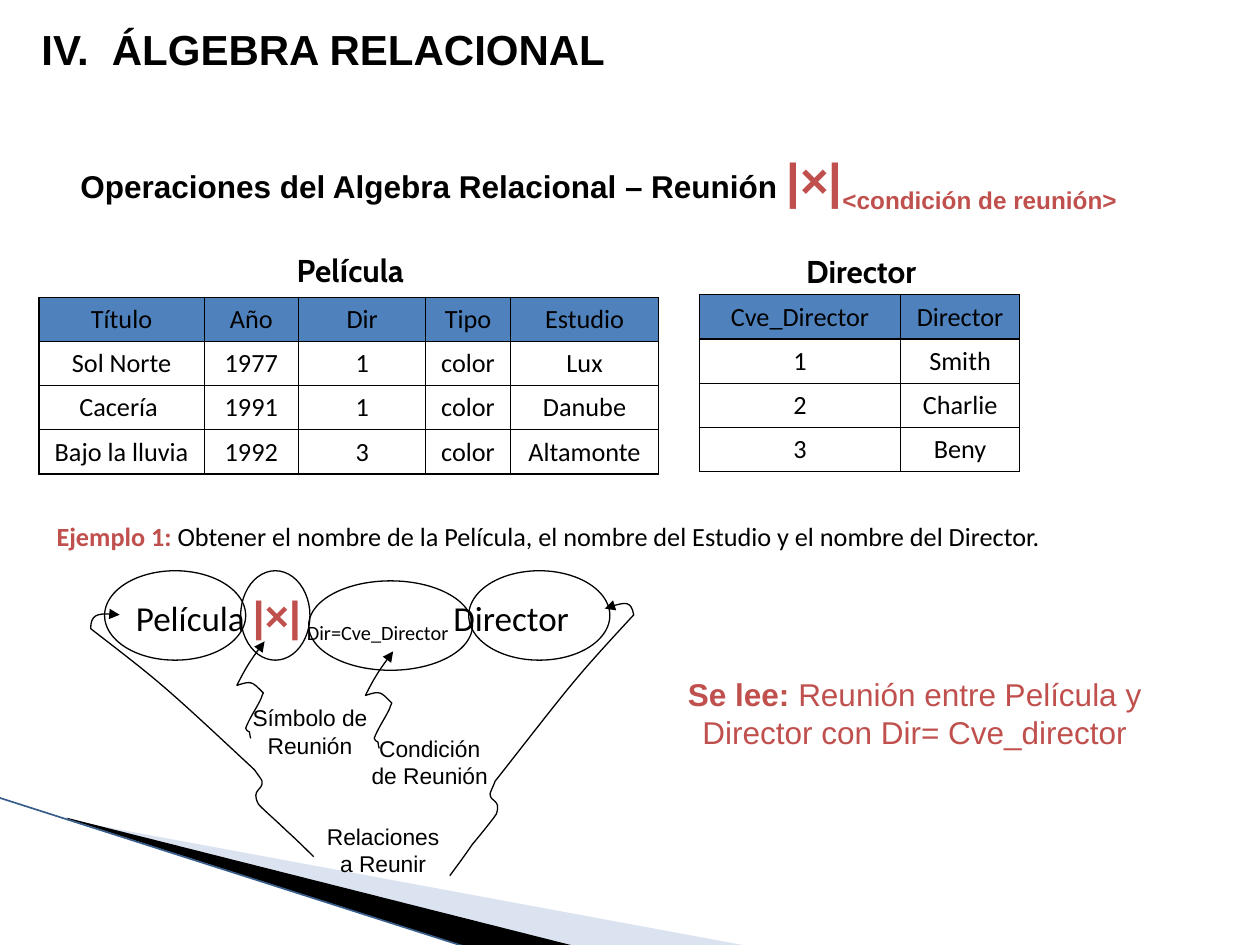
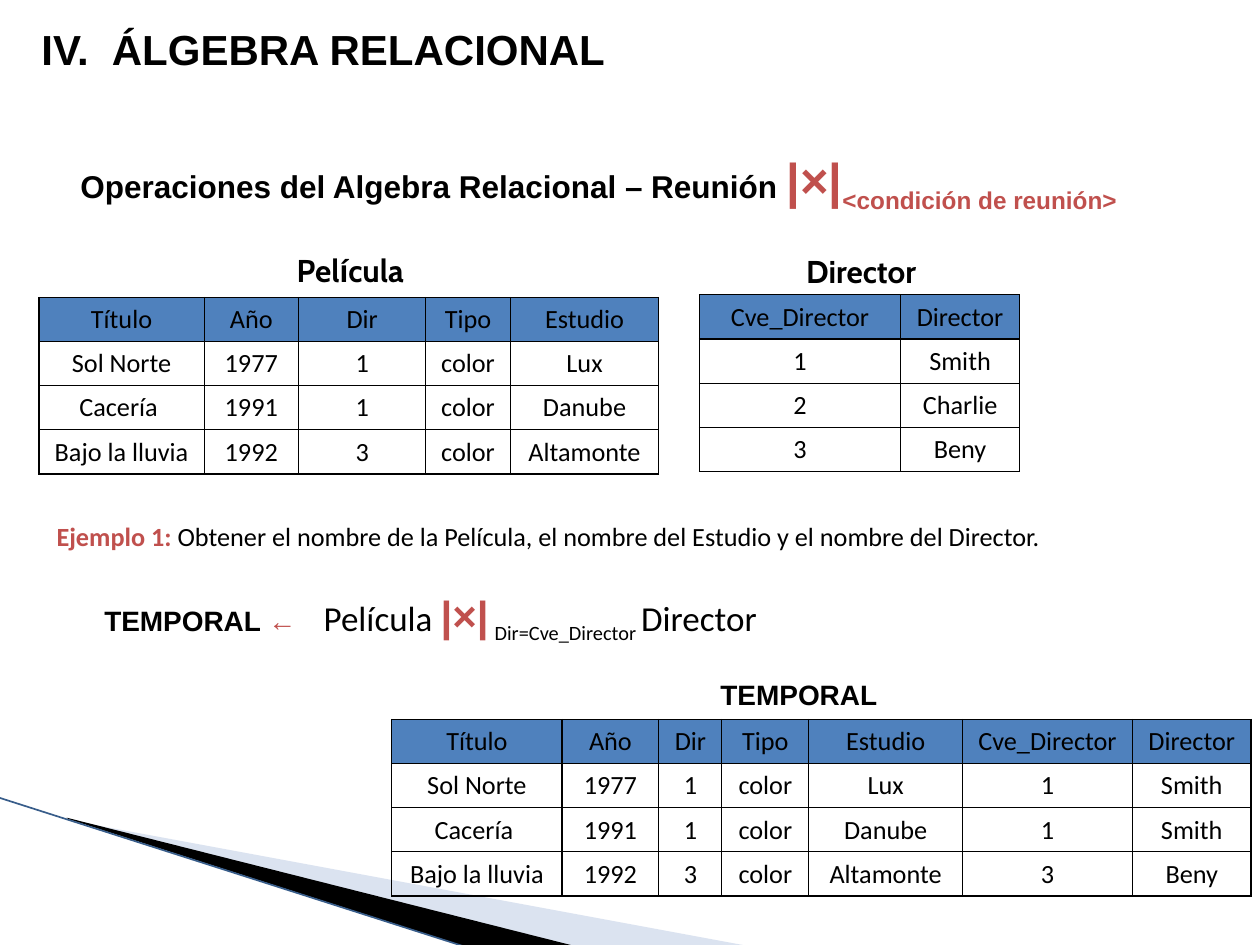
"""Builds two slides on the join operation of relational algebra."""
from dataclasses import dataclass
from typing import Any

from lxml.etree import SubElement
from pptx import Presentation
from pptx.dml.color import RGBColor
from pptx.enum.shapes import MSO_CONNECTOR, MSO_SHAPE
from pptx.enum.text import MSO_ANCHOR, MSO_AUTO_SIZE, PP_ALIGN
from pptx.oxml.ns import qn
from pptx.util import Inches, Pt

Point = tuple[float, float]
Frame = tuple[float, float, float, float]

@dataclass(frozen=True)
class Theme:
    black: RGBColor = RGBColor(0x00, 0x00, 0x00)
    accent: RGBColor = RGBColor(0xC0, 0x50, 0x4D)
    header: RGBColor = RGBColor(0x4F, 0x81, 0xBD)
    pale: RGBColor = RGBColor(0xA7, 0xB9, 0xDB)
    edge: RGBColor = RGBColor(0x38, 0x5D, 0x8A)
    sans: str = "Arial"
    body: str = "Calibri"
    caption: str = "Cabin"
    symbol_size: int = 28
    title_size: int = 24
    formula_size: int = 20
    heading_size: int = 18
    result_size: int = 16
    text_size: int = 15
    label_size: int = 13
    thin: float = 0.75

THEME = Theme()

@dataclass(frozen=True)
class Span:
    text: str
    size: int
    font: str = THEME.sans
    color: RGBColor = THEME.black
    bold: bool = False
    subscript: bool = False

@dataclass(frozen=True)
class TextBox:
    frame: Frame
    spans: tuple[Span, ...]
    centered: bool = False
    middle: bool = False
    wrap: bool = True

@dataclass(frozen=True)
class Grid:
    left: float
    top: float
    widths: tuple[float, ...]
    rows: list[tuple[str, ...]]

@dataclass(frozen=True)
class Wedge:
    frame: Frame
    points: tuple[Point, ...]
    color: RGBColor
    opacity: int

@dataclass(frozen=True)
class Callout:
    ovals: tuple[Frame, ...]
    arrows: tuple[tuple[Point, ...], ...]
    label: TextBox

FILMS = [("Título", "Año", "Dir", "Tipo", "Estudio"),
         ("Sol Norte", "1977", "1", "color", "Lux"),
         ("Cacería ", "1991", "1", "color", "Danube"),
         ("Bajo la lluvia", "1992", "3", "color", "Altamonte")]
DIRECTORS = [("Cve_Director", "Director"), ("1", "Smith"), ("2", "Charlie"), ("3", "Beny")]
NAMES = dict(DIRECTORS)
JOINED = [FILMS[0] + DIRECTORS[0]] + [film + (film[2], NAMES[film[2]]) for film in FILMS[1:]]
FILM_GRID = Grid(0.31, 2.36, (1.31, 0.75, 1.01, 0.67, 1.18), FILMS)
DIRECTOR_GRID = Grid(5.55, 2.34, (1.6, 0.94), DIRECTORS)
JOINED_GRID = Grid(3.11, 5.71, (1.35, 0.77, 0.5, 0.69, 1.22, 1.35, 0.94), JOINED)

WEDGES = (
    Wedge((0.78, 5.47, 4.16, 1.58), ((0.55, 6.51), (5.95, 7.51), (4.56, 7.51), (0.55, 6.5)),
          THEME.pale, 40),
    Wedge((-0.06, 6.33, 4.16, 0.92), ((0.53, 6.49), (4.57, 7.51), (3.72, 7.52), (0.54, 6.5)),
          THEME.black, 100))
TITLE = TextBox((0.23, 0.14, 9.45, 0.51),
                (Span("ÁLGEBRA RELACIONAL", THEME.title_size, bold=True),))
HEADING = TextBox((0.04, 1.14, 9.92, 0.57), (
    Span("Operaciones del Algebra Relacional – Reunión ", THEME.heading_size, bold=True),
    Span("|×|", THEME.symbol_size, THEME.sans, THEME.accent, True),
    Span("<condición de reunión>", THEME.title_size, THEME.sans, THEME.accent, True, True)))
SHARED_TEXT = (
    TextBox((2.19, 1.94, 1.18, 0.4), tuple(
        Span(text, THEME.heading_size, font, bold=True) for text, font in
        (("Pel", THEME.caption), ("í", THEME.sans), ("cula", THEME.caption))), True, True, False),
    TextBox((6.22, 1.95, 1.23, 0.4),
            (Span("Director", THEME.heading_size, THEME.caption, bold=True),), True, True, False),
    TextBox((0.35, 4.08, 9.18, 0.35), (
        Span("Ejemplo 1:", THEME.text_size, THEME.body, THEME.accent, True),
        Span(" Obtener el nombre de la Película, el nombre del Estudio y el nombre del Director.",
             THEME.text_size, THEME.body)), middle=True))
FORMULA = (
    Span("Película ", THEME.formula_size, THEME.body),
    Span("|×|", THEME.title_size, THEME.sans, THEME.accent, True),
    Span(" ", THEME.text_size, THEME.body),
    Span("Dir=Cve_Director ", THEME.formula_size, THEME.body, subscript=True),
    Span("Director", THEME.formula_size, THEME.body))
READING = TextBox((5.23, 5.31, 4.06, 0.71), (
    Span("Se lee: ", THEME.heading_size, THEME.sans, THEME.accent, True),
    Span("Reunión entre Película y Director con Dir= Cve_director", THEME.heading_size,
         THEME.sans, THEME.accent)), centered=True)
RESULT_TEXT = (
    TextBox((0.73, 4.74, 1.8, 0.37), (
        Span("TEMPORAL ", THEME.result_size, bold=True),
        Span("←", THEME.result_size, THEME.sans, THEME.accent, True)), wrap=False),
    TextBox((5.62, 5.33, 1.46, 0.37),
            (Span("TEMPORAL", THEME.result_size, bold=True),), wrap=False))

SQUIGGLE = (
    (2.1, 5.09), (2.01, 5.21), (1.95, 5.3), (1.88, 5.44), (2, 5.4), (2, 5.41), (2.09, 5.5),
    (2.08, 5.51), (2.08, 5.53), (2.07, 5.55), (2.03, 5.63), (1.98, 5.7), (1.95, 5.78),
    (1.95, 5.8), (1.97, 5.8), (1.98, 5.81), (1.98, 5.83), (1.99, 5.86), (1.99, 5.86))
LEFT_ARROW = (
    (0.95, 4.88), (0.8, 4.86), (0.72, 4.88), (0.72, 4.99), (1.29, 5.43), (1.29, 5.43),
    (2.02, 6.11), (2.04, 6.14), (2.08, 6.19), (2.08, 6.2), (2.09, 6.28), (1.99, 6.26),
    (2.05, 6.38), (2.06, 6.4), (2.2, 6.52), (2.27, 6.59), (2.35, 6.66), (2.49, 6.8), (2.49, 6.8))
RIGHT_ARROW = (
    (4.8, 4.83), (4.94, 4.78), (5.01, 4.77), (5.03, 4.88), (4.54, 5.41), (4.55, 5.41),
    (3.93, 6.2), (3.92, 6.23), (3.89, 6.29), (3.89, 6.3), (3.89, 6.37), (3.98, 6.34),
    (3.94, 6.46), (3.93, 6.48), (3.81, 6.63), (3.75, 6.7), (3.69, 6.79), (3.57, 6.95), (3.57, 6.95))

def label(text: str, *frame: float) -> TextBox:
    """Describe the small centred label of a callout."""
    return TextBox(frame, (Span(text, THEME.label_size),), centered=True)

CALLOUTS = (
    Callout(((1.91, 4.53, 0.55, 0.71),), (SQUIGGLE,),
            label("Símbolo de Reunión", 1.86, 5.54, 1.2, 0.53)),
    Callout(((0.83, 4.53, 1.12, 0.71), (3.72, 4.53, 1.12, 0.71)), (LEFT_ARROW, RIGHT_ARROW),
            label("Relaciones a Reunir", 2.46, 6.48, 1.16, 0.54)),
    Callout(((2.45, 4.61, 1.3, 0.71),), (tuple((x + 1.02, y + 0.08) for x, y in SQUIGGLE),),
            label("Condición de Reunión", 2.81, 5.78, 1.2, 0.54)))

def assign(target: Any, values: dict[str, Any]) -> None:
    """Set each named attribute of the target."""
    for name, value in values.items():
        setattr(target, name, value)

def write(para: Any, spans: tuple[Span, ...]) -> None:
    """Add formatted runs to a paragraph."""
    for span in spans:
        run = para.add_run()
        run.text = span.text
        assign(run.font, {"name": span.font, "size": Pt(span.size), "bold": span.bold})
        run.font.color.rgb = span.color
        if span.subscript:
            run.font._element.set("baseline", "-25000")

def add_text(shapes: Any, text_box: TextBox) -> Any:
    """Draw a text box and return its paragraph."""
    box = shapes.add_textbox(*map(Inches, text_box.frame))
    assign(box.text_frame, {
        "word_wrap": text_box.wrap, "auto_size": MSO_AUTO_SIZE.SHAPE_TO_FIT_TEXT,
        "vertical_anchor": MSO_ANCHOR.MIDDLE if text_box.middle else MSO_ANCHOR.TOP})
    para = box.text_frame.paragraphs[0]
    para.alignment = PP_ALIGN.CENTER if text_box.centered else PP_ALIGN.LEFT
    write(para, text_box.spans)
    return para

def indent(para: Any, margin: float, first: float) -> Any:
    """Set a paragraph's left margin and first-line indent."""
    properties = para._p.get_or_add_pPr()
    properties.set("marL", str(Inches(margin)))
    properties.set("indent", str(Inches(first)))
    return properties

def outline(shape: Any, color: RGBColor = THEME.black, width: float = THEME.thin) -> None:
    """Give a shape or connector a plain line."""
    shape.line.color.rgb = color
    shape.line.width = Pt(width)

def add_outline(shapes: Any, points: tuple[Point, ...], close: bool) -> Any:
    """Draw straight segments through points given in inches."""
    start, *others = [(Inches(x), Inches(y)) for x, y in points]
    builder = shapes.build_freeform(*start)
    builder.add_line_segments(others, close=close)
    shape = builder.convert_to_shape()
    shape.shadow.inherit = False
    return shape

def add_wedge(shapes: Any, wedge: Wedge) -> None:
    """Draw a filled corner wedge that reaches beyond its frame."""
    shape = add_outline(shapes, wedge.points, True)
    shape.fill.solid()
    shape.fill.fore_color.rgb = wedge.color
    shape.line.fill.background()
    tint = next(shape._element.spPr.iter(qn("a:srgbClr")))
    SubElement(tint, qn("a:alpha"), val=str(wedge.opacity * 1000))
    left, top, width, height = map(Inches, wedge.frame)
    for point in shape._element.iter(qn("a:pt")):
        point.set("x", str(int(point.get("x")) + shape.left - left))
        point.set("y", str(int(point.get("y")) + shape.top - top))
    assign(next(shape._element.iter(qn("a:path"))), {"w": width, "h": height})
    assign(shape, {"left": left, "top": top, "width": width, "height": height})

def add_curved_arrow(shapes: Any, points: tuple[Point, ...]) -> None:
    """Draw Bézier curves with an arrowhead at their start."""
    arrow = add_outline(shapes, points, False)
    arrow.fill.background()
    outline(arrow)
    SubElement(arrow.line._get_or_add_ln(), qn("a:headEnd"), type="triangle")
    track = next(arrow._element.iter(qn("a:path")))
    steps = track.findall(qn("a:lnTo"))
    for first in range(0, len(steps), 3):
        curve = SubElement(track, qn("a:cubicBezTo"))
        for step in steps[first:first + 3]:
            curve.append(step[0])
            track.remove(step)

def add_callout(shapes: Any, callout: Callout) -> None:
    """Draw a group of ovals, curved arrows and a label."""
    group = shapes.add_group_shape().shapes
    for frame in callout.ovals:
        oval = group.add_shape(MSO_SHAPE.OVAL, *map(Inches, frame))
        oval.shadow.inherit = False
        oval.fill.background()
        outline(oval)
    for points in callout.arrows:
        add_curved_arrow(group, points)
    add_text(group, callout.label)

def add_grid(shapes: Any, grid: Grid) -> None:
    """Draw a bordered table with a coloured header row."""
    size = len(grid.rows), len(grid.widths)
    bounds = grid.left, grid.top, sum(grid.widths), 0.35 * len(grid.rows)
    table = shapes.add_table(*size, *map(Inches, bounds)).table
    assign(table, {"first_row": False, "horz_banding": False})
    for column, width in zip(table.columns, grid.widths):
        column.width = Inches(width)
    for index, values in enumerate(grid.rows):
        for cell, value in zip(table.rows[index].cells, values):
            cell.vertical_anchor = MSO_ANCHOR.MIDDLE
            para = cell.text_frame.paragraphs[0]
            para.alignment = PP_ALIGN.CENTER
            write(para, (Span(value, THEME.text_size, THEME.body),))
            for side in ("lnL", "lnR", "lnT", "lnB"):
                border = SubElement(cell._tc.get_or_add_tcPr(), qn(f"a:{side}"), w=str(Pt(THEME.thin)))
                paint = SubElement(border, qn("a:solidFill"))
                SubElement(paint, qn("a:srgbClr"), val=str(THEME.black))
            cell.fill.background()
            if index == 0:
                cell.fill.solid()
                cell.fill.fore_color.rgb = THEME.header

def add_page(deck: Any, formula_left: float) -> Any:
    """Add a slide with the shared parts and return its shapes."""
    shapes = deck.slides.add_slide(deck.slide_layouts[6]).shapes
    for wedge in WEDGES:
        add_wedge(shapes, wedge)
    edge = shapes.add_connector(MSO_CONNECTOR.STRAIGHT, *map(Inches, (-0.01, 6.33, 3.71, 7.52)))
    outline(edge, THEME.edge, 0.95)
    SubElement(edge._element.spPr, qn("a:effectLst"))
    numbering = indent(add_text(shapes, TITLE), 0.56, -0.56)
    SubElement(numbering, qn("a:buAutoNum"), type="romanUcPeriod", startAt="4")
    heading = add_text(shapes, HEADING)
    heading.level = 1
    indent(heading, 0.88, -0.38)
    for grid in (FILM_GRID, DIRECTOR_GRID):
        add_grid(shapes, grid)
    for text_box in (*SHARED_TEXT, TextBox((formula_left, 4.63, 5.89, 0.51), FORMULA)):
        add_text(shapes, text_box)
    return shapes

def main() -> None:
    """Build and save the deck."""
    deck = Presentation()
    assign(deck, {"slide_width": Inches(10), "slide_height": Inches(7.5)})
    notation = add_page(deck, 0.98)
    for callout in CALLOUTS:
        add_callout(notation, callout)
    add_text(notation, READING)
    result = add_page(deck, 2.47)
    add_grid(result, JOINED_GRID)
    for text_box in RESULT_TEXT:
        add_text(result, text_box)
    deck.save("out.pptx")

if __name__ == "__main__":
    main()
